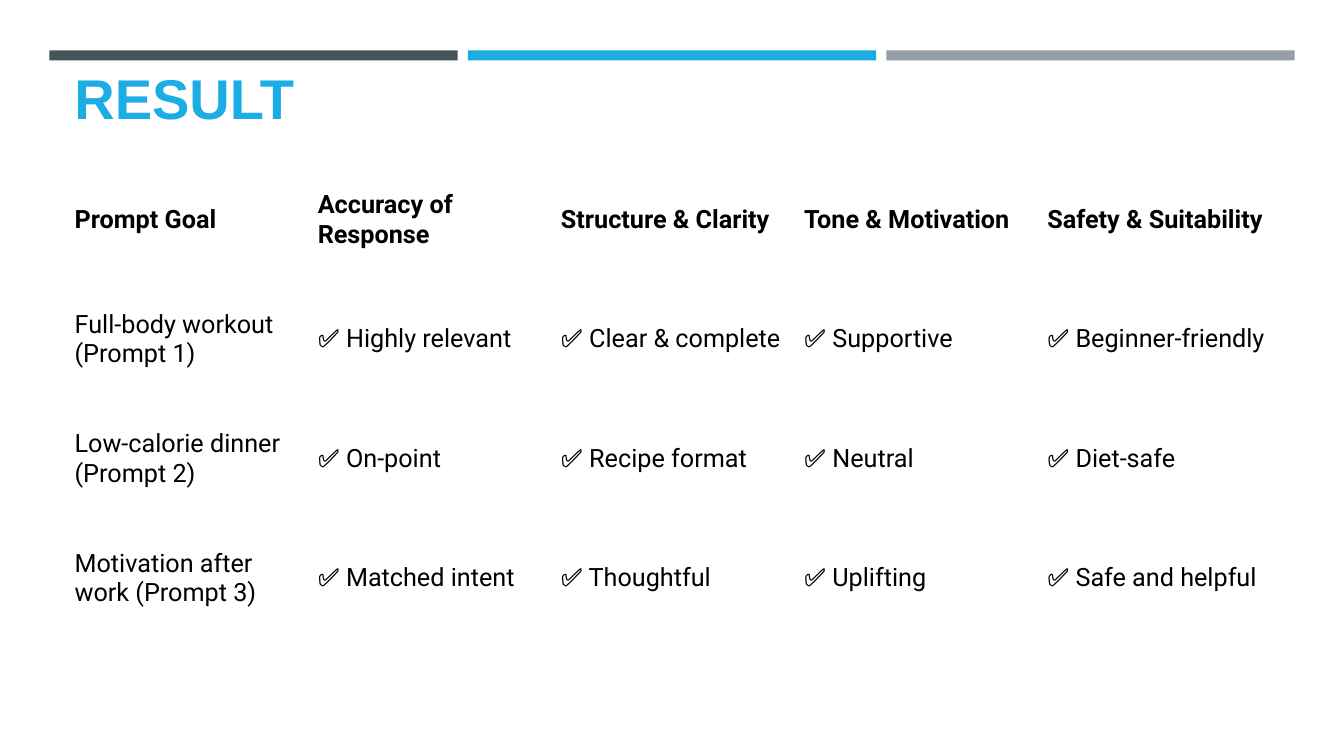
from pptx import Presentation
from pptx.dml.color import RGBColor
from pptx.enum.shapes import MSO_SHAPE
from pptx.enum.text import MSO_ANCHOR
from pptx.util import Inches, Pt

SLATE = RGBColor(0x46, 0x53, 0x59)
BLUE = RGBColor(0x1C, 0xAD, 0xE4)
GRAY = RGBColor(0x96, 0x9F, 0xA7)
BLACK = RGBColor(0, 0, 0)

RESULTS = [
    ["Prompt Goal", "Accuracy of Response", "Structure & Clarity",
     "Tone & Motivation", "Safety & Suitability"],
    ["Full-body workout (Prompt 1)", "✅ Highly relevant", "✅ Clear & complete",
     "✅ Supportive", "✅ Beginner-friendly"],
    ["Low-calorie dinner (Prompt 2)", "✅ On-point", "✅ Recipe format",
     "✅ Neutral", "✅ Diet-safe"],
    ["Motivation after work (Prompt 3)", "✅ Matched intent", "✅ Thoughtful",
     "✅ Uplifting", "✅ Safe and helpful"],
]


def style(p, font, size, color, bold):
    p.font.name = font
    p.font.size = Pt(size)
    p.font.color.rgb = color
    p.font.bold = bold


def add_bars(s, left, top, width, height, colors, gap):
    bar_width = (width - gap * (len(colors) - 1)) / len(colors)
    for i, color in enumerate(colors):
        sp = s.shapes.add_shape(
            MSO_SHAPE.RECTANGLE, Inches(left + i * (bar_width + gap)),
            Inches(top), Inches(bar_width), Inches(height))
        sp.shadow.inherit = False
        sp.fill.solid()
        sp.fill.fore_color.rgb = color
        sp.line.fill.background()


def add_title(s, left, top, width, height, text):
    sp = s.shapes.add_textbox(Inches(left), Inches(top), Inches(width), Inches(height))
    tf = sp.text_frame
    tf.word_wrap = True
    tf.vertical_anchor = MSO_ANCHOR.BOTTOM
    p = tf.paragraphs[0]
    p.text = text
    style(p, "Arial", 40, BLUE, True)


def add_results(s, left, top, width, height, rows):
    table = s.shapes.add_table(len(rows), len(rows[0]), Inches(left), Inches(top),
                               Inches(width), Inches(height)).table
    table.first_row = False
    table.horz_banding = False
    for r, row in enumerate(rows):
        for c, text in enumerate(row):
            cell = table.cell(r, c)
            cell.fill.background()
            cell.vertical_anchor = MSO_ANCHOR.MIDDLE
            p = cell.text_frame.paragraphs[0]
            p.text = text
            style(p, "Roboto", 18, BLACK, r == 0)


def main():
    prs = Presentation()
    prs.slide_width = Inches(13.33)
    prs.slide_height = Inches(7.5)
    s = prs.slides.add_slide(prs.slide_layouts[6])
    add_bars(s, 0.49, 0.5, 12.35, 0.1, [SLATE, BLUE, GRAY], 0.1)
    add_title(s, 0.64, 0.77, 12.06, 0.58, "RESULT")
    add_results(s, 0.64, 1.59, 12.06, 4.74, RESULTS)
    prs.save("out.pptx")


if __name__ == "__main__":
    main()
